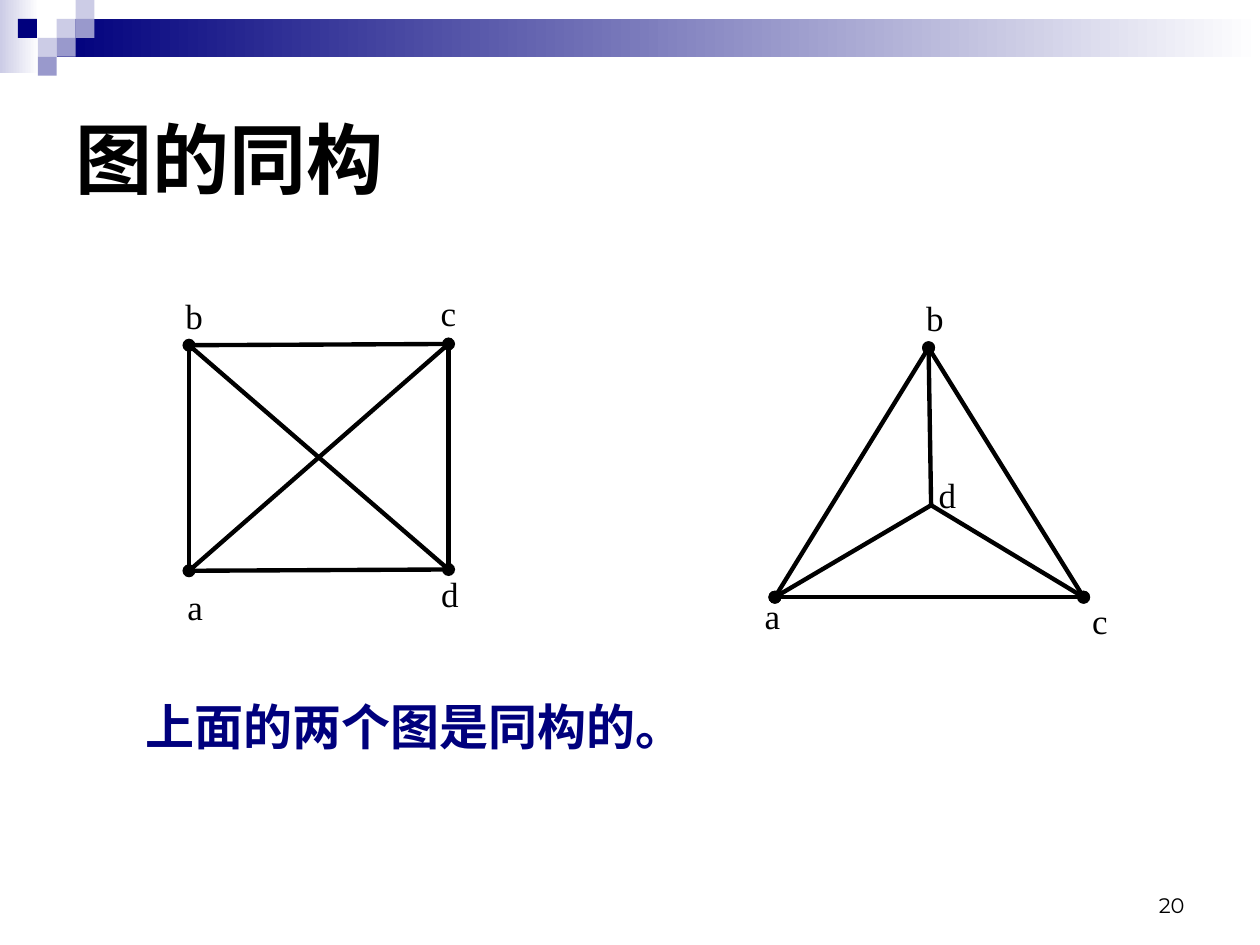
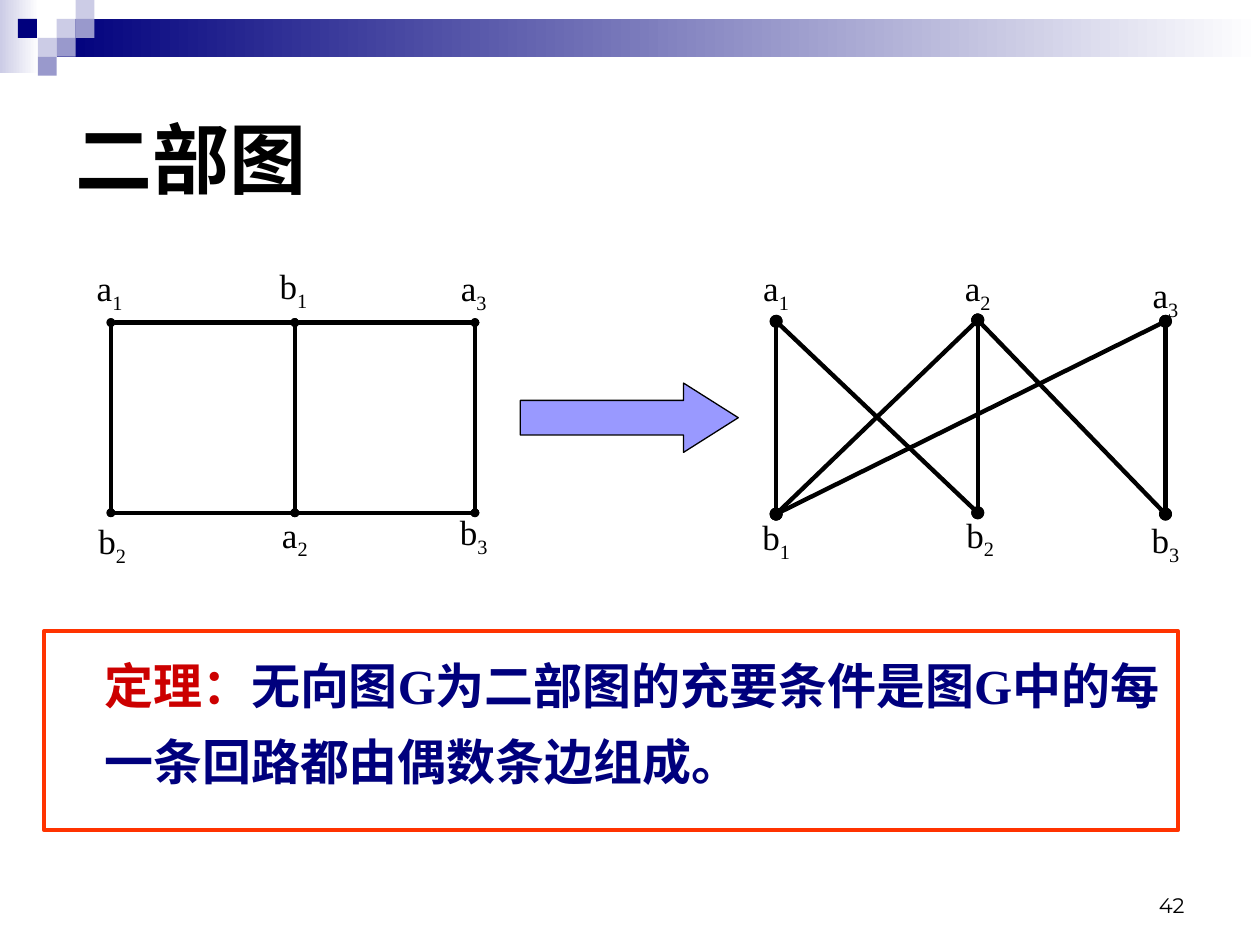
from lxml import etree
from pptx import Presentation, util as u
from pptx.dml.color import RGBColor
from pptx.enum import shapes, text
from pptx.oxml.ns import qn

NAVY = RGBColor(0x00, 0x00, 0x7D)
LILAC = RGBColor(0x99, 0x99, 0xCC)
PALE = RGBColor(0xCC, 0xCC, 0xE6)
WHITE = RGBColor(0xFF, 0xFF, 0xFF)
BLACK = RGBColor(0x00, 0x00, 0x00)
RED = RGBColor(0xCC, 0x00, 0x00)
FRAME = RGBColor(0xFF, 0x33, 0x00)
ARROW = RGBColor(0x99, 0x99, 0xFF)
SERIF, SANS, CHINESE, NUMBERS = "Times New Roman", "Arial", "Noto Sans CJK SC", "Montserrat"

# Header: gradient bands and squares on a grid of 0.15 inch cells
CELL = 0.15
BANDS = [((0, 0, 0.31, 0.58), PALE), ((3 * CELL, CELL, 10 - 3 * CELL, 2 * CELL), NAVY)]
SQUARES = [(3, 1, PALE), (4, 0, PALE), (4, 1, LILAC), (2, 2, PALE),
           (0.95, 1, NAVY), (3, 2, LILAC), (2, 3, LILAC)]

# Graphs: vertex -> (x, y, label centre, label top); edges with or without dots
SQUARE_GRAPH = dict(
    vertices={"a": (1.5, 4.53, 1.55, 4.74), "b": (1.5, 2.74, 1.54, 2.43),
              "c": (3.56, 2.73, 3.56, 2.41), "d": (3.56, 4.52, 3.57, 4.64)},
    dotted="a-b c-d", plain="a-d b-c b-d a-c", dot="med")
TRIANGLE_GRAPH = dict(
    vertices={"a": (6.15, 4.74, 6.13, 4.81), "b": (7.37, 2.76, 7.42, 2.45),
              "c": (8.6, 4.74, 8.73, 4.85), "d": (7.39, 4.01, 7.52, 3.85)},
    dotted="a-b b-c a-c", plain="a-d b-d c-d", dot="med")
LADDER_GRAPH = dict(
    vertices={"a1": (0.88, 2.56, 0.87, 2.19), "b1": (2.34, 2.56, 2.33, 2.18),
              "a3": (3.77, 2.56, 3.76, 2.19), "b2": (0.88, 4.07, 0.89, 4.2),
              "a2": (2.34, 4.07, 2.34, 4.15), "b3": (3.77, 4.07, 3.76, 4.13)},
    dotted="a1-b2 b1-a2 a3-b3 b1-a3 a1-b1 b2-a2 a2-b3", plain="", dot="sm")
BIPARTITE_GRAPH = dict(
    vertices={"a1": (6.16, 2.55, 6.16, 2.19), "a2": (7.76, 2.54, 7.76, 2.19),
              "a3": (9.25, 2.55, 9.25, 2.25), "b1": (6.16, 4.08, 6.16, 4.17),
              "b2": (7.76, 4.07, 7.78, 4.15), "b3": (9.25, 4.08, 9.25, 4.19)},
    dotted="a3-b3 a2-b2 a1-b1 a1-b2 b1-a2 a2-b3 a3-b1", plain="", dot="med")

CONCLUSION = "上面的两个图是同构的。"
THEOREM = [("定理：", RED),
           ("无向图G为二部图的充要条件是图G中的每一条回路都由偶数条边组成。", NAVY)]


def inches(*values):
    return [u.Inches(value) for value in values]


def add_span(para, words, font=SERIF, size=20, color=BLACK, bold=False, subscript=False):
    span = para.add_run()
    span.text = words
    span.font.name, span.font.size, span.font.bold = font, u.Pt(size), bold
    span.font.color.rgb = color
    properties = span.font._element
    etree.SubElement(properties, qn("a:ea")).set("typeface", CHINESE)
    if subscript:
        properties.set("baseline", "-25000")


def add_text(parent, place, words="", align=text.PP_ALIGN.LEFT, spacing=1.0,
             anchor=text.MSO_ANCHOR.TOP, **style):
    box = parent.add_textbox(*inches(*place))
    box.text_frame.word_wrap = True
    box.text_frame.vertical_anchor = anchor
    para = box.text_frame.paragraphs[0]
    para.alignment, para.line_spacing = align, spacing
    if words:
        add_span(para, words, **style)
    return box, para


def add_box(slide, kind, place, color=None):
    box = slide.shapes.add_shape(kind, *inches(*place))
    box.shadow.inherit = False
    box.line.fill.background()
    if color is not None:
        box.fill.solid()
        box.fill.fore_color.rgb = color
    return box


def add_edge(group, start, end, dot=None):
    edge = group.shapes.add_connector(shapes.MSO_CONNECTOR.STRAIGHT, *inches(*start, *end))
    edge.line.color.rgb, edge.line.width = BLACK, u.Pt(2.5)
    if dot:
        for tip in ("a:headEnd", "a:tailEnd"):
            etree.SubElement(edge.line._get_or_add_ln(), qn(tip), type="oval", w=dot, len=dot)
    etree.SubElement(edge._element.spPr, qn("a:effectLst"))


def add_graph(slide, vertices, dotted, plain, dot):
    group = slide.shapes.add_group_shape()
    for edges, tip in ((dotted, dot), (plain, None)):
        for edge in edges.split():
            start, end = (vertices[name][:2] for name in edge.split("-"))
            add_edge(group, start, end, tip)
    for name, (_, _, center, top) in vertices.items():
        _, para = add_text(group.shapes, (center - 0.3, top, 0.6, 0.28), name[0],
                           align=text.PP_ALIGN.CENTER, spacing=0.5)
        if name[1:]:
            add_span(para, name[1:], subscript=True)


def add_page(deck, title, number):
    slide = deck.slides.add_slide(deck.slide_layouts[5])
    # Header
    for place, color in BANDS:
        band = add_box(slide, shapes.MSO_SHAPE.RECTANGLE, place)
        band.fill.gradient()
        band.fill.gradient_angle = 0
        for stop, shade in zip(band.fill.gradient_stops, (color, WHITE)):
            stop.color.rgb = shade
    for column, row, color in SQUARES:
        add_box(slide, shapes.MSO_SHAPE.RECTANGLE,
                (column * CELL, row * CELL, CELL, CELL), color)
    # Title
    heading = slide.shapes.title
    heading.left, heading.top, heading.width, heading.height = inches(0.5, 0.5, 9, 1.5)
    heading.text_frame.vertical_anchor = text.MSO_ANCHOR.MIDDLE
    para = heading.text_frame.paragraphs[0]
    para.alignment = text.PP_ALIGN.LEFT
    add_span(para, title, font=SANS, size=44, bold=True)
    # Page number
    add_text(slide.shapes, (7.17, 6.83, 2.33, 0.5), number, align=text.PP_ALIGN.RIGHT,
             anchor=text.MSO_ANCHOR.BOTTOM, font=NUMBERS, size=12)
    return slide


def add_isomorphism(deck):
    slide = add_page(deck, "图的同构", "20")
    add_graph(slide, **SQUARE_GRAPH)
    add_graph(slide, **TRIANGLE_GRAPH)
    add_text(slide.shapes, (1.06, 5.48, 5.98, 0.57), CONCLUSION,
             font=CHINESE, size=28, color=NAVY, bold=True)


def add_bipartite(deck):
    slide = add_page(deck, "二部图", "42")
    # Framed theorem
    box, para = add_text(slide.shapes, (0.35, 5.01, 9, 1.58), spacing=1.3)
    box.line.color.rgb, box.line.width = FRAME, u.Pt(2.25)
    para._p.get_or_add_pPr().set("marL", str(u.Inches(0.38)))
    for words, color in THEOREM:
        add_span(para, words, size=28, color=color, bold=True)
    # Graphs and the arrow between them
    add_graph(slide, **LADDER_GRAPH)
    add_graph(slide, **BIPARTITE_GRAPH)
    arrow = add_box(slide, shapes.MSO_SHAPE.RIGHT_ARROW, (4.13, 3.04, 1.73, 0.55), ARROW)
    arrow.adjustments[0], arrow.adjustments[1] = 0.5, 0.79
    arrow.line.color.rgb, arrow.line.width = BLACK, u.Pt(0.75)


def main():
    deck = Presentation()
    deck.slide_width, deck.slide_height = inches(10, 7.5)
    add_isomorphism(deck)
    add_bipartite(deck)
    deck.save("out.pptx")


if __name__ == "__main__":
    main()
